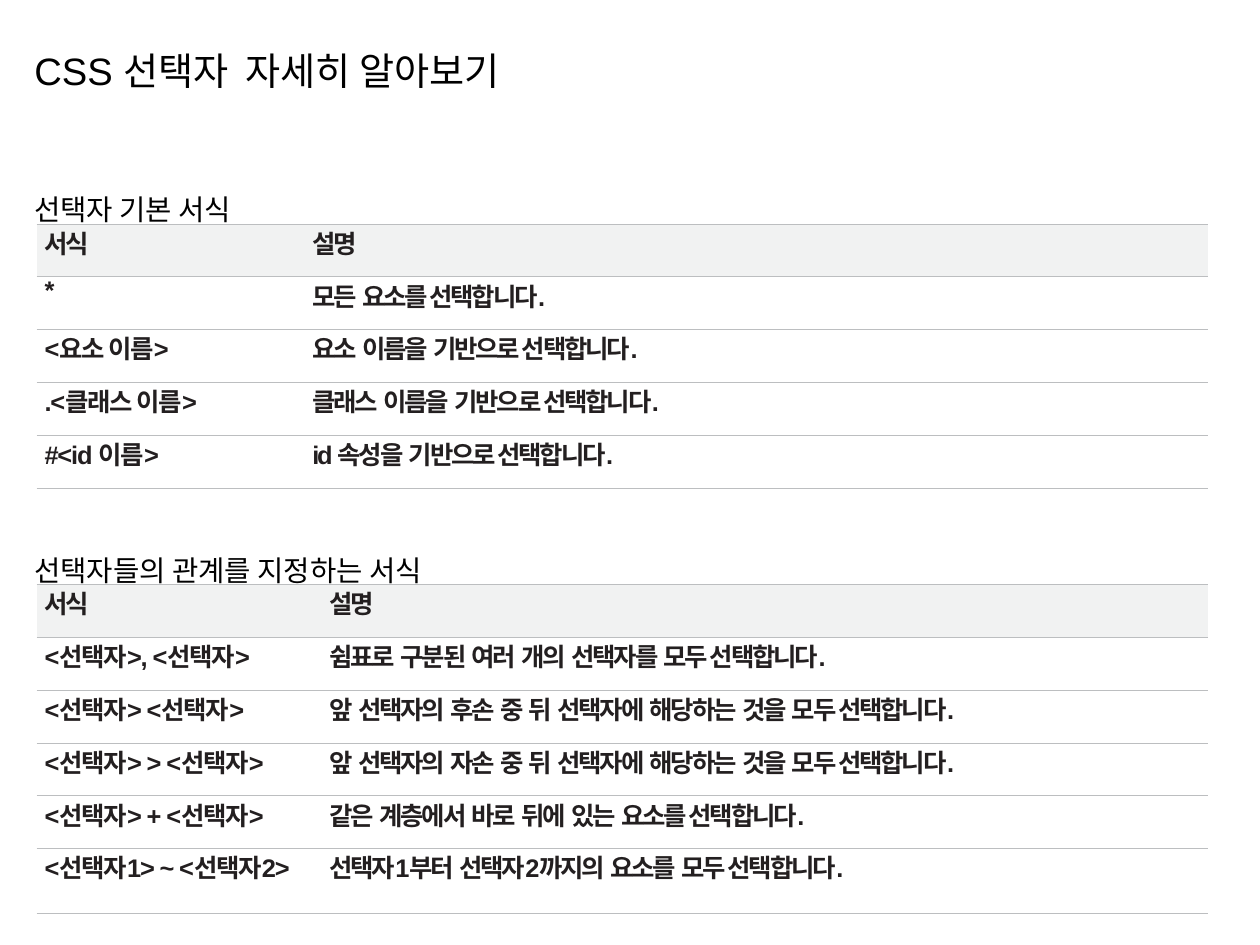
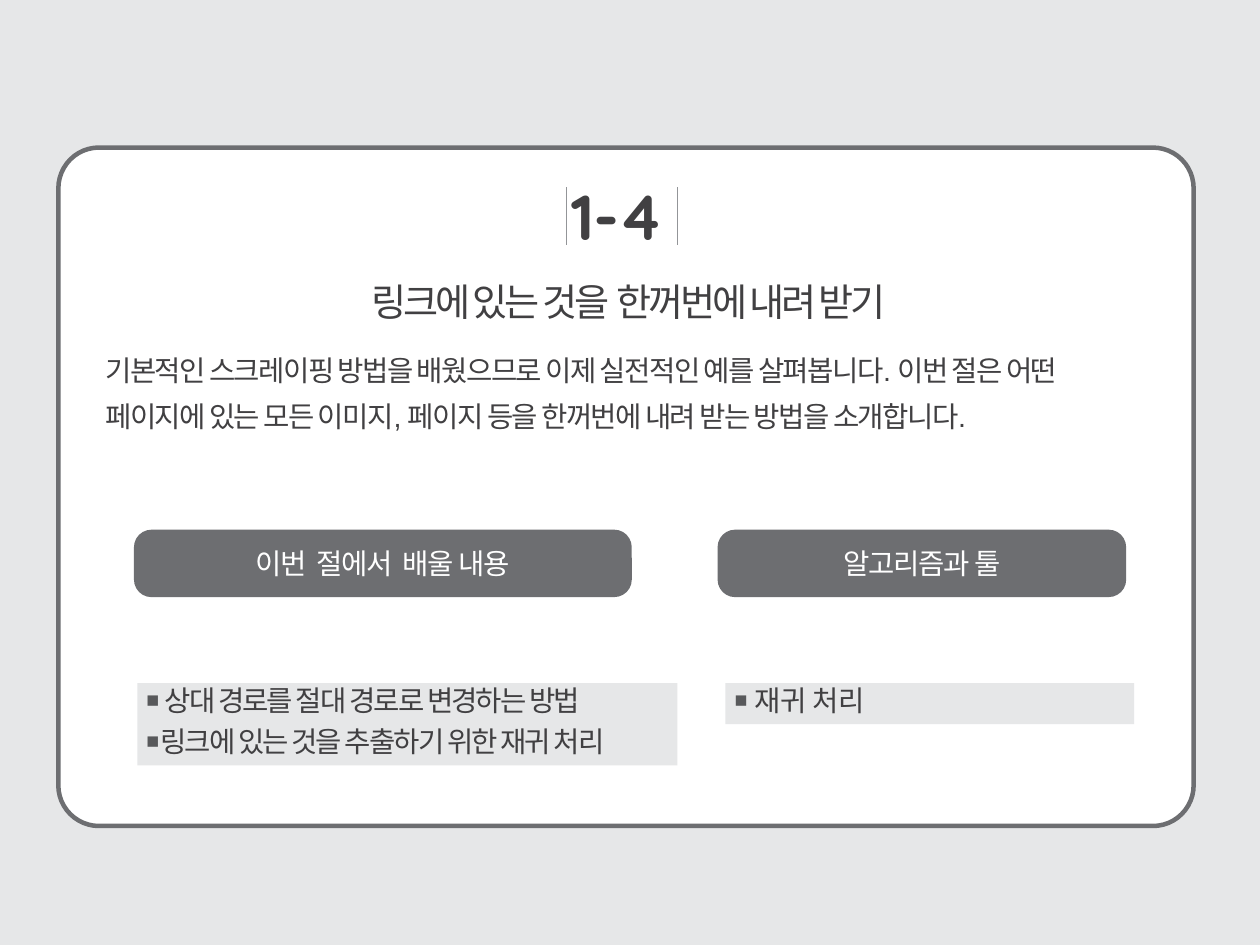
from lxml import etree
from pptx import Presentation
from pptx import util as u
from pptx.dml.color import RGBColor
from pptx.enum import shapes, text
from pptx.oxml.ns import qn


class Theme:
    white = RGBColor.from_string("FFFFFF")
    black = RGBColor.from_string("000000")
    ink = RGBColor.from_string("414042")
    table_ink = RGBColor.from_string("231F20")
    slate = RGBColor.from_string("6D6E71")
    mist = RGBColor.from_string("E6E7E8")
    header = RGBColor.from_string("F1F2F2")
    divider = RGBColor.from_string("939598")
    bullet, rule = "58595B", "BCBEC0"
    # Each style: font settings, colour, letter spacing in points
    styles = {
        "title": (dict(name="Arial", size=u.Pt(24)), black, 0),
        "subhead": (dict(name="Arial", size=u.Pt(18)), black, 0),
        "head cell": (dict(name="Arial", size=u.Pt(16), bold=True), table_ink, -1.4),
        "syntax": (dict(name="Arial", size=u.Pt(16), bold=True), table_ink, -0.7),
        "meaning": (dict(name="Arial", size=u.Pt(16), bold=True), table_ink, -1.3),
        "number": (dict(name="Quicksand", size=u.Pt(40), bold=True), ink, -0.4),
        "section": (dict(name="Arial", size=u.Pt(24)), ink, -2),
        "intro": (dict(name="Arial", size=u.Pt(18)), ink, -1),
        "button": (dict(name="DejaVu Sans Mono", size=u.Pt(18)), white, -0.7),
        "topics": (dict(name="Arial", size=u.Pt(18)), ink, -1.2),
        "tools": (dict(name="Arial", size=u.Pt(18)), ink, -0.2),
    }


deck = Presentation()
deck.slide_width, deck.slide_height = u.Inches(11.01), u.Inches(8.26)


def area(*percents):
    """Turn left, top, width, height in percent of the slide into lengths."""
    sides = (deck.slide_width, deck.slide_height) * 2
    return [u.Emu(round(side * p / 100)) for side, p in zip(sides, percents)]


def write(frame, lines, style, anchor=text.MSO_ANCHOR.TOP, **paragraph_format):
    """Fill a frame with one paragraph per line, in a style of the theme."""
    font, colour, spacing = Theme.styles[style]
    frame_format = dict(word_wrap=True, auto_size=text.MSO_AUTO_SIZE.NONE, vertical_anchor=anchor,
                        margin_left=0, margin_top=0, margin_right=0, margin_bottom=0)
    for key, value in frame_format.items():
        setattr(frame, key, value)
    frame.text = "\n".join(lines)
    for paragraph in frame.paragraphs:
        for key, value in {"alignment": text.PP_ALIGN.LEFT, "space_before": u.Pt(0),
                           **paragraph_format}.items():
            setattr(paragraph, key, value)
        run = paragraph.runs[0]
        for key, value in font.items():
            setattr(run.font, key, value)
        run.font.color.rgb = colour
        run.font._element.set("spc", str(round(spacing * 100)))


# ---- Slide 1: selector tables ----
selectors = deck.slides.add_slide(deck.slide_layouts[5])
title = selectors.shapes.title
title.left, title.top, title.width, title.height = area(2.72, 2.54, 94.64, 9)
write(title.text_frame, ["CSS 선택자  자세히 알아보기"], "title", line_spacing=1.5)

# Heading, top, first column share, indent of second column, rows
sections = [
    ("선택자 기본 서식", 18.5, 18.8, 0.34, [
        ("서식", "설명"),
        ("*", "모든  요소를 선택합니다."),
        ("<요소 이름>", "요소  이름을  기반으로 선택합니다."),
        (".<클래스 이름>", "클래스  이름을  기반으로 선택합니다."),
        ("#<id 이름>", "id 속성을  기반으로 선택합니다."),
    ]),
    ("선택자들의 관계를 지정하는 서식", 56.66, 21.8, 0.16, [
        ("서식", "설명"),
        ("<선택자>, <선택자>", "쉼표로  구분된  여러  개의  선택자를  모두 선택합니다."),
        ("<선택자> <선택자>", "앞  선택자의  후손  중  뒤  선택자에  해당하는  것을  모두 선택합니다."),
        ("<선택자> > <선택자>", "앞  선택자의  자손  중  뒤  선택자에  해당하는  것을  모두 선택합니다."),
        ("<선택자> + <선택자>", "같은  계층에서  바로  뒤에  있는  요소를 선택합니다."),
        ("<선택자1> ~ <선택자2>", "선택자1부터  선택자2까지의  요소를  모두 선택합니다."),
    ]),
]
TABLE_WIDTH, ROW_HEIGHT, TABLE_DROP = 93, 5.59, 5.2

for heading, top, first_column, meaning_indent, rows in sections:
    subhead = selectors.shapes.add_textbox(*area(2.72, top, 94.64, 5))
    write(subhead.text_frame, [heading], "subhead", line_spacing=1.5)

    grid = selectors.shapes.add_table(
        len(rows), 2, *area(2.9, top + TABLE_DROP, TABLE_WIDTH, ROW_HEIGHT * len(rows))).table
    grid.first_row = grid.horz_banding = False
    widths = area(first_column, 0, TABLE_WIDTH - first_column)
    grid.columns[0].width, grid.columns[1].width = widths[0], widths[2]

    for r, row in enumerate(rows):
        for c, words in enumerate(row):
            cell = grid.cell(r, c)
            style = "head cell" if r == 0 else ("syntax", "meaning")[c]
            write(cell.text_frame, [words], style, space_before=u.Pt(3))
            cell.margin_left = u.Inches((0.07, meaning_indent)[c])
            cell.margin_right = u.Inches(0.08)
            cell.margin_top = cell.margin_bottom = 0
            # Rules above and below only
            properties = cell._tc.get_or_add_tcPr()
            for side in ("lnL", "lnR", "lnT", "lnB"):
                edge = etree.SubElement(properties, qn("a:" + side), w=str(u.Pt(0.5)))
                if side in ("lnT", "lnB"):
                    paint = etree.SubElement(edge, qn("a:solidFill"))
                    etree.SubElement(paint, qn("a:srgbClr"), val=Theme.rule)
                else:
                    etree.SubElement(edge, qn("a:noFill"))
            if r == 0:
                cell.fill.solid()
                cell.fill.fore_color.rgb = Theme.header
            else:
                cell.fill.background()

# ---- Slide 2: section opener ----
opener = deck.slides.add_slide(deck.slide_layouts[3])
opener.background.fill.solid()
opener.background.fill.fore_color.rgb = Theme.mist

# White panel behind everything
panel = opener.shapes.add_shape(shapes.MSO_SHAPE.ROUNDED_RECTANGLE, *area(4.63, 15.62, 90.1, 71.79))
panel.adjustments[0] = 0.06
panel.shadow.inherit = False
panel.fill.solid()
panel.fill.fore_color.rgb = Theme.white
panel.line.color.rgb = Theme.slate
panel.line.width = u.Pt(2.83)
opener.shapes._spTree.insert(2, panel._element)

# Section number between two dividers
for x in (44.96, 53.77):
    left, top, right, bottom = area(x, 19.8, x, 25.9)
    divider = opener.shapes.add_connector(shapes.MSO_CONNECTOR.STRAIGHT, left, top, right, bottom)
    divider.line.color.rgb = Theme.divider
    divider.line.width = u.Pt(0.5)
    etree.SubElement(divider._element.spPr, qn("a:effectLst"))
number = opener.shapes.add_textbox(*area(45.32, 18.77, 9.45, 8.11))
write(number.text_frame, ["1-4"], "number")

# Title and introduction
title = opener.shapes.title
title.left, title.top, title.width, title.height = area(29.52, 29.42, 47.68, 4.84)
write(title.text_frame, ["링크에 있는 것을  한꺼번에 내려 받기"], "section")
intro = opener.shapes.add_textbox(*area(8.36, 36.08, 81.56, 9.93))
write(intro.text_frame, ["기본적인 스크레이핑 방법을 배웠으므로 이제 실전적인 예를 살펴봅니다. 이번 절은 어떤 "
                         "페이지에 있는 모든 이미지, 페이지 등을 한꺼번에 내려 받는 방법을 소개합니다."],
      "intro", line_spacing=1.35)

# Two columns: button label, button left and width, list left and width, style, items
columns = [
    ("이번  절에서  배울 내용", 10.63, 39.51, 10.9, 42.87, "topics",
     [" 상대 경로를 절대 경로로 변경하는 방법", "링크에 있는 것을 추출하기 위한 재귀 처리"]),
    ("알고리즘과 툴", 56.95, 32.43, 57.58, 32.43, "tools", [" 재귀 처리"]),
]
for slot, (label, button_x, button_w, list_x, list_w, style, items) in enumerate(columns, 1):
    button = opener.shapes.add_shape(shapes.MSO_SHAPE.ROUNDED_RECTANGLE,
                                     *area(button_x, 56.05, button_w, 7.14))
    button.adjustments[0] = 0.26
    button.shadow.inherit = False
    button.fill.solid()
    button.fill.fore_color.rgb = Theme.slate
    button.line.fill.background()
    write(button.text_frame, [label], "button", text.MSO_ANCHOR.MIDDLE,
          alignment=text.PP_ALIGN.CENTER)

    points = opener.placeholders[slot]
    points.left, points.top, points.width, points.height = area(
        list_x, 72.28, list_w, 4.36 * len(items))
    points.fill.solid()
    points.fill.fore_color.rgb = Theme.mist
    write(points.text_frame, items, style, space_before=u.Pt(4))
    points.text_frame.margin_left = u.Inches(0.08)
    for paragraph in points.text_frame.paragraphs:
        properties = paragraph._p.get_or_add_pPr()
        properties.set("marL", str(u.Inches(0.12)))
        properties.set("indent", str(u.Inches(-0.12)))
        colour = etree.SubElement(properties, qn("a:buClr"))
        etree.SubElement(colour, qn("a:srgbClr"), val=Theme.bullet)
        etree.SubElement(properties, qn("a:buSzPct"), val="75000")
        etree.SubElement(properties, qn("a:buChar"), char="■")

deck.save("out.pptx")
